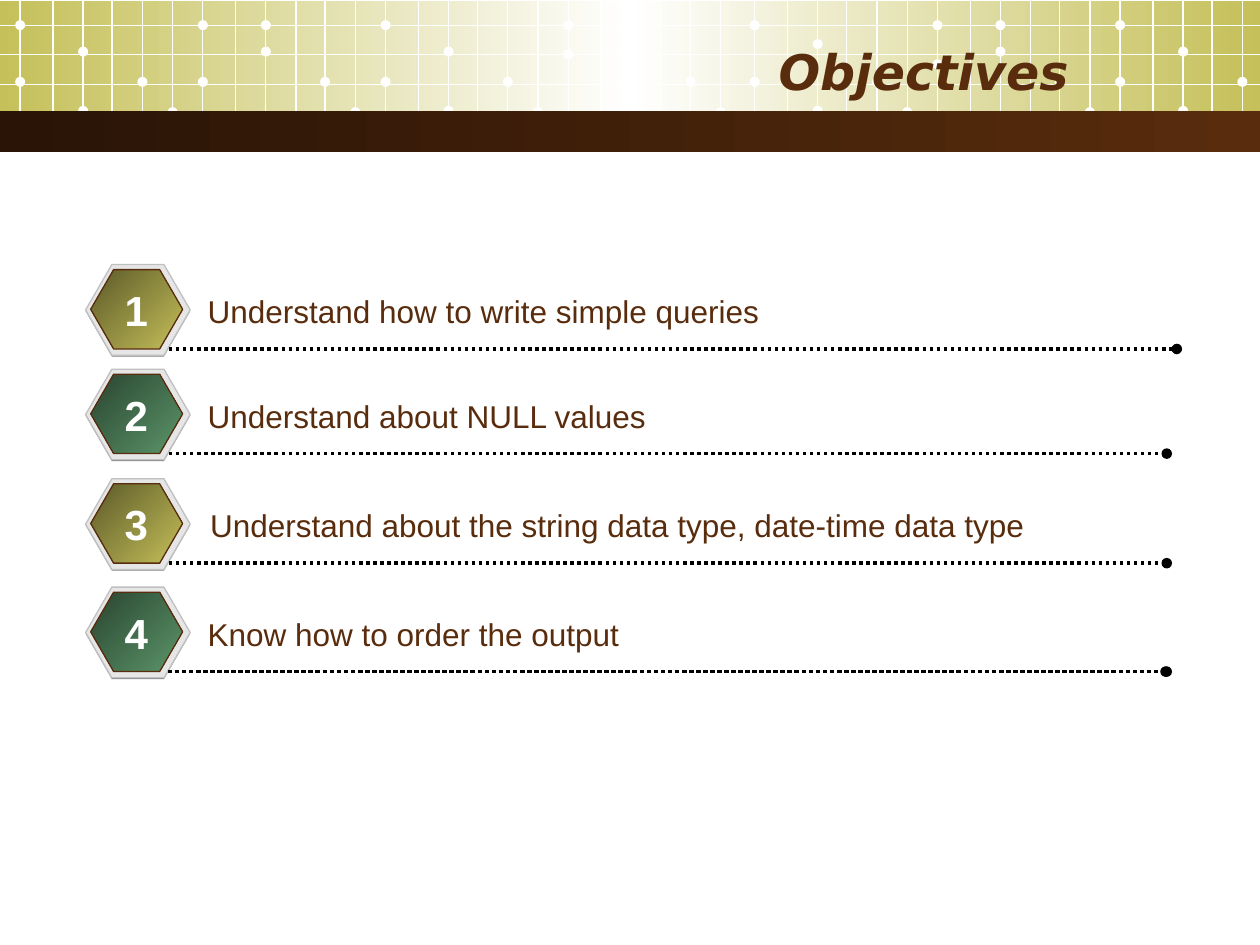
from dataclasses import dataclass
from typing import Optional

from lxml.etree import SubElement as Sub
from pptx import Presentation
from pptx.dml.color import RGBColor as Rgb
from pptx.enum.dml import MSO_LINE as Dash
from pptx.enum.shapes import MSO_CONNECTOR as Conn, MSO_SHAPE as Kind
from pptx.enum.text import MSO_ANCHOR as Anchor, PP_ALIGN as Align
from pptx.oxml.ns import qn
from pptx.util import Inches, Pt


@dataclass(frozen=True)
class Theme:
    white: str = "FFFFFF"
    brown: str = "592C0D"
    dark: str = "291406"
    gold: str = "C5C059"
    black: str = "000000"
    shade: str = "808080"
    rim: str = "E6E6E6"
    edge: str = "C0C0C0"
    olive: tuple = ("5B5929", "C5C059")
    green: tuple = ("2A4531", "5B9569")
    body: str = "Arial"
    head: str = "DejaVu Sans"
    big: int = 28
    mid: int = 24
    small: int = 18
    thin: float = 0.75
    thick: float = 2


@dataclass(frozen=True)
class Tile:
    """One repeat of the grid; the two heights vary between repeats."""
    left: float
    dip: float = 0.41
    knot: float = 0.65


@dataclass(frozen=True)
class Row:
    top: float
    text: str
    end: float = 9.26
    left: float = 1.55


THEME = Theme()
WIDE = 10
COLS = (0, 0.26, 0.5, 0.73, 0.97, 1.21, 1.45, 1.71, 1.95, 2.19, 2.42, 2.66)
LINES = (0.2, 0.43, 0.67, 0.89)
TILES = (Tile(0.16), Tile(3.06, knot=0.43), Tile(5.99, 0.35, 0.51), Tile(8.89))
ROWS = (
    Row(2.1, "Understand how to write simple queries", end=9.34),
    Row(2.93, "Understand about NULL values"),
    Row(3.8, "Understand about the string data type, date-time data type", left=1.57),
    Row(4.66, "Know how to order the output"),
)


def blend(shape, tones: tuple, angle: int) -> None:
    """Fill a shape with evenly spread tones."""
    shape.fill.gradient()
    grad = shape._element.spPr.find(qn("a:gradFill"))
    for part in list(grad):
        grad.remove(part)
    stops = Sub(grad, qn("a:gsLst"))
    for i, tone in enumerate(tones):
        stop = Sub(stops, qn("a:gs"), pos=str(i * 100000 // (len(tones) - 1)))
        Sub(stop, qn("a:srgbClr"), val=tone)
    Sub(grad, qn("a:lin"), ang=str(angle * 60000), scaled="0")


def draw(shapes, kind, box: tuple, fill, edge: Optional[str] = None, angle: int = 0):
    shape = shapes.add_shape(kind, *map(Inches, box))
    shape.shadow.inherit = False
    if isinstance(fill, tuple):
        blend(shape, fill, angle)
    else:
        shape.fill.solid()
        shape.fill.fore_color.rgb = Rgb.from_string(fill)
    if edge:
        shape.line.color.rgb = Rgb.from_string(edge)
        shape.line.width = Pt(THEME.thin)
    else:
        shape.line.fill.background()
    return shape


def rule(shapes, start: tuple, end: tuple, tone: str, width: float):
    line = shapes.add_connector(Conn.STRAIGHT, *map(Inches, start + end))
    line.line.color.rgb = Rgb.from_string(tone)
    line.line.width = Pt(width)
    Sub(line._element.spPr, qn("a:effectLst"))
    return line


def style(frame, size: int, tone: str, face: str, bold: bool = False,
          slant: bool = False, align=Align.LEFT) -> None:
    para = frame.paragraphs[0]
    para.alignment = align
    font = para.runs[0].font
    font.name, font.size = face, Pt(size)
    font.bold, font.italic = bold, slant
    font.color.rgb = Rgb.from_string(tone)


def label(shapes, box: tuple, text: str, wrap: bool = True, **look) -> None:
    frame = shapes.add_textbox(*map(Inches, box)).text_frame
    frame.word_wrap = wrap
    frame.text = text
    style(frame, face=THEME.body, **look)


def grid(shapes) -> None:
    """White lattice with dots at some of its crossings."""
    for tile in TILES:
        dots = ((0, 0.65), (0, 0.2), (0.5, tile.dip), (0.5, 0.88),
                (0.97, 0.65), (1.21, 0.89), (1.45, tile.knot), (1.45, 0.2),
                (1.95, 0.41), (1.95, 0.2), (2.42, 0.65), (2.66, 0.89))
        for x in (tile.left + col for col in COLS):
            if x < WIDE:
                rule(shapes, (x, 0), (x, 1.1), THEME.white, THEME.thin)
        for col, y in dots:
            x = tile.left + col
            if x < WIDE:
                draw(shapes, Kind.OVAL, (x - 0.04, y - 0.04, 0.08, 0.08), THEME.white)
    for y in LINES:
        rule(shapes, (0, y), (WIDE, y), THEME.white, THEME.thin)


def badge(shapes, top: float, tones: tuple) -> None:
    """Hexagon with shade, rim and face."""
    layers = (
        ((0.68, top + 0.01, 0.83, 0.72), THEME.shade, None),
        ((0.68, top, 0.83, 0.72), THEME.rim, THEME.edge),
        ((0.72, top + 0.04, 0.73, 0.63), tones, THEME.brown),
    )
    group = shapes.add_group_shape().shapes
    for box, fill, edge in layers:
        draw(group, Kind.HEXAGON, box, fill, edge, 45).adjustments[0] = 0.289


def leader(shapes, left: float, right: float, y: float) -> None:
    """Dotted line that ends in a dot."""
    line = rule(shapes, (left, y), (right, y), THEME.black, THEME.thick)
    line.line.dash_style = Dash.ROUND_DOT
    Sub(line.line._get_or_add_ln(), qn("a:tailEnd"), type="oval")


def item(shapes, num: int, row: Row) -> None:
    badge(shapes, row.top, THEME.olive if num % 2 else THEME.green)
    leader(shapes, 1.34, row.end, row.top + 0.67)
    label(shapes, (row.left, row.top + 0.17, 7.86, 0.4), row.text,
          size=THEME.small, tone=THEME.brown)
    label(shapes, (0.89, row.top + 0.11, 0.38, 0.5), str(num), wrap=False,
          size=THEME.mid, tone=THEME.white, bold=True, align=Align.CENTER)


def main() -> None:
    deck = Presentation()
    deck.slide_width, deck.slide_height = Inches(WIDE), Inches(7.5)
    slide = deck.slides.add_slide(deck.slide_layouts[5])
    shapes = slide.shapes

    # Header band
    draw(shapes, Kind.RECTANGLE, (0, 0.01, WIDE, 1.02),
         (THEME.gold, THEME.white, THEME.gold))
    grid(shapes.add_group_shape().shapes)
    draw(shapes, Kind.RECTANGLE, (0, 0.88, WIDE, 0.33), (THEME.dark, THEME.brown))

    # Title, brought in front of the band
    title = shapes.title
    title.left, title.top = Inches(0.5), Inches(0.25)
    title.width, title.height = Inches(8.08), Inches(0.62)
    frame = title.text_frame
    frame.text = "Objectives"
    frame.vertical_anchor = Anchor.MIDDLE
    style(frame, THEME.big, THEME.brown, THEME.head, True, True, Align.RIGHT)
    shapes._spTree.append(title._element)

    # Objectives, with a second line under the last one
    for num, row in enumerate(ROWS, 1):
        item(shapes, num, row)
    leader(shapes, 1.33, 9.25, ROWS[-1].top + 0.67)

    deck.save("out.pptx")


if __name__ == "__main__":
    main()
